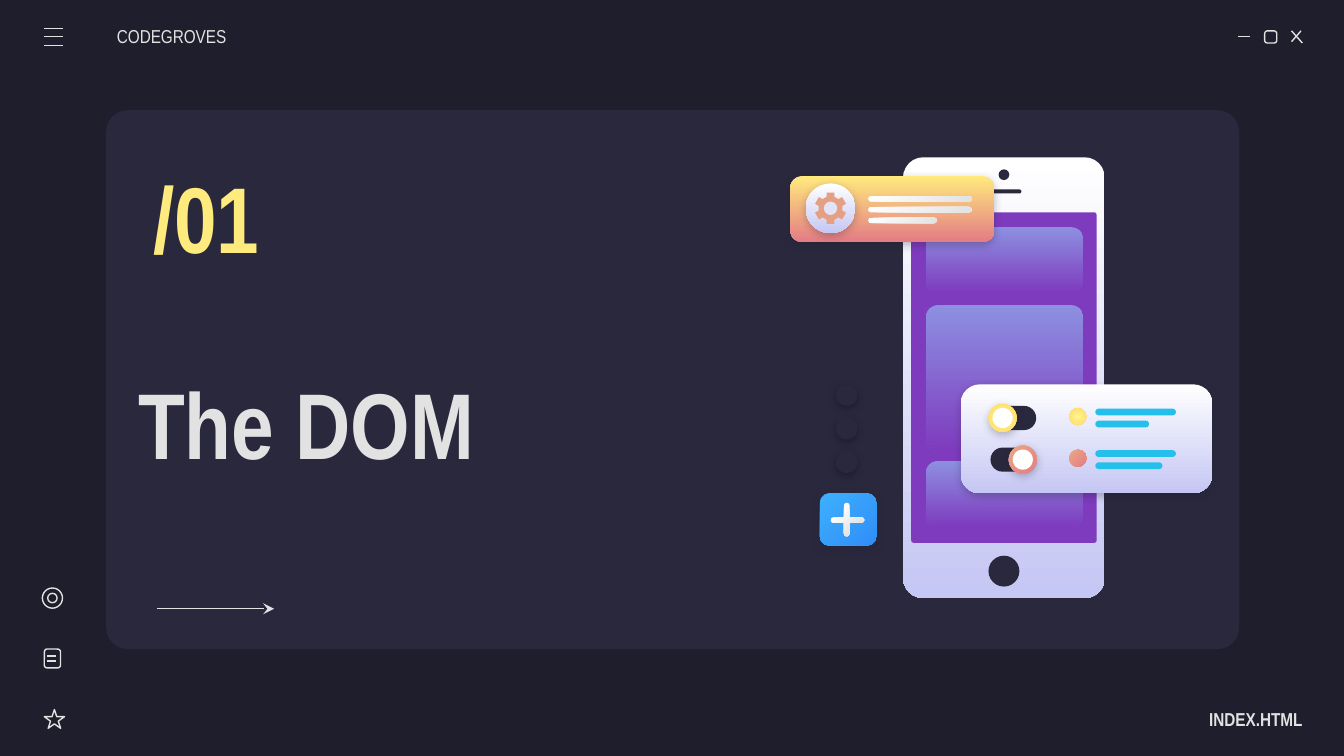
"""Builds the section slide "The DOM" with its phone illustration."""
from dataclasses import dataclass
from math import cos, radians, sin
from typing import NamedTuple, Optional, Union

from lxml.etree import SubElement
from pptx import Presentation
from pptx.dml.color import RGBColor
from pptx.enum.shapes import MSO_CONNECTOR, MSO_SHAPE
from pptx.enum.text import MSO_ANCHOR, PP_ALIGN
from pptx.oxml.ns import qn
from pptx.slide import Slide
from pptx.util import Inches, Pt


class Gradient(NamedTuple):
    start: str
    end: str
    angle: int = 90
    radial: bool = False


Paint = Union[str, Gradient, None]


@dataclass(frozen=True)
class Theme:
    font: str = "Arial Narrow"
    small: int = 10
    large: int = 50
    stroke: float = 0.75
    background: str = "1E1E2C"
    panel: str = "29283D"
    light: str = "E2E2E2"
    yellow: str = "FFEA7D"
    purple: str = "7E3BBE"
    cyan: str = "24BFEB"
    white: str = "FFFFFF"
    black: str = "000000"
    gear: str = "E5A083"
    gear_hole: str = "E2E3F9"
    frost: Gradient = Gradient("FFFFFF", "C5C7F4")
    violet: Gradient = Gradient("8D90E1", "7E3BBE")
    sunset: Gradient = Gradient("FFEA7D", "E57C85")
    silver: Gradient = Gradient("FFFFFF", "E2E2E2", 45)
    sky: Gradient = Gradient("3DB0FD", "308EF7", 45)
    gold: Gradient = Gradient("FFF68E", "FFD966", radial=True)
    coral: Gradient = Gradient("E9A984", "E57C85", 45)


THEME = Theme()


@dataclass(frozen=True)
class Block:
    left: float
    top: float
    width: float
    height: float
    fill: Paint = None
    radius: float = 0
    stroke: Optional[str] = None
    shadow: Optional[str] = None
    preset: MSO_SHAPE = MSO_SHAPE.ROUNDED_RECTANGLE


class Stroke(NamedTuple):
    x1: float
    y1: float
    x2: float
    y2: float
    arrow: bool = False


def paint(shape, fill: Paint, stroke: Optional[str] = None, shadow: Optional[str] = None) -> None:
    """Sets fill, outline and shadow of a shape."""
    if fill is None:
        shape.fill.background()
    elif isinstance(fill, str):
        shape.fill.solid()
        shape.fill.fore_color.rgb = RGBColor.from_string(fill)
    else:
        shape.fill.gradient()
        for stop, colour, position in zip(shape.fill.gradient_stops, (fill.start, fill.end), (0, 1)):
            stop.color.rgb = RGBColor.from_string(colour)
            stop.position = position
        shape.fill.gradient_angle = 360 - fill.angle
        if fill.radial:
            linear = shape._element.spPr.find(".//" + qn("a:lin"))
            gradient = linear.getparent()
            gradient.remove(linear)
            circle = SubElement(gradient, qn("a:path"), {"path": "circle"})
            SubElement(circle, qn("a:fillToRect"), dict.fromkeys("ltrb", "50000"))
    if stroke:
        shape.line.color.rgb = RGBColor.from_string(stroke)
        shape.line.width = Pt(THEME.stroke)
    else:
        shape.line.fill.background()
    shape.shadow.inherit = False
    if shadow:
        effects = shape._element.spPr.find(qn("a:effectLst"))
        outer = SubElement(effects, qn("a:outerShdw"), blurRad=str(Pt(4.5)), dist=str(Pt(1.5)),
                           dir="5400000", algn="ctr", rotWithShape="0")
        colour = SubElement(outer, qn("a:srgbClr"), val=shadow)
        SubElement(colour, qn("a:alpha"), val="27000")


def draw_block(slide: Slide, block: Block) -> None:
    """Draws one preset shape."""
    box = map(Inches, (block.left, block.top, block.width, block.height))
    shape = slide.shapes.add_shape(block.preset, *box)
    if block.preset == MSO_SHAPE.ROUNDED_RECTANGLE:
        shape.adjustments[0] = block.radius / min(block.width, block.height)
    paint(shape, block.fill, block.stroke, block.shadow)


def disc(x: float, y: float, size: float, fill: Paint = None, **style) -> Block:
    """Returns a circle centred on a point."""
    return Block(x - size / 2, y - size / 2, size, size, fill, preset=MSO_SHAPE.OVAL, **style)


def pill(left: float, top: float, width: float, height: float, fill: Paint) -> Block:
    """Returns a bar with fully rounded ends."""
    return Block(left, top, width, height, fill, min(width, height) / 2)


def draw_stroke(slide: Slide, stroke: Stroke) -> None:
    """Draws one straight line."""
    ends = map(Inches, (stroke.x1, stroke.y1, stroke.x2, stroke.y2))
    connector = slide.shapes.add_connector(MSO_CONNECTOR.STRAIGHT, *ends)
    connector.line.color.rgb = RGBColor.from_string(THEME.light)
    connector.line.width = Pt(THEME.stroke)
    properties = connector._element.spPr
    if stroke.arrow:
        SubElement(properties.find(qn("a:ln")), qn("a:tailEnd"), type="stealth")
    SubElement(properties, qn("a:effectLst"))


def draw_gear(slide: Slide, x: float, y: float) -> None:
    """Draws a six-toothed gear centred on a point."""
    tooth = ((0.09, -19), (0.12, -14), (0.12, 14), (0.09, 19))
    points = [
        (Inches(x + reach * cos(radians(turn + offset))), Inches(y + reach * sin(radians(turn + offset))))
        for turn in range(30, 390, 60) for reach, offset in tooth
    ]
    builder = slide.shapes.build_freeform(*points[0])
    builder.add_line_segments(points[1:], close=True)
    paint(builder.convert_to_shape(), THEME.gear)
    draw_block(slide, disc(x, y, 0.1, THEME.gear_hole))


def add_text(slide: Slide, text: str, left: float, top: float, width: float, height: float, *,
             size: int = THEME.small, colour: str = THEME.light, bold: bool = False,
             align: PP_ALIGN = PP_ALIGN.LEFT, inset_left: float = 0.1, inset_right: float = 0.1) -> None:
    """Adds one line of text, centred vertically in its box."""
    frame = slide.shapes.add_textbox(*map(Inches, (left, top, width, height))).text_frame
    frame.word_wrap = True
    frame.vertical_anchor = MSO_ANCHOR.MIDDLE
    frame.margin_left, frame.margin_right = Inches(inset_left), Inches(inset_right)
    frame.margin_top = frame.margin_bottom = Inches(0.1)
    paragraph = frame.paragraphs[0]
    paragraph.alignment = align
    run = paragraph.add_run()
    run.text = text
    run.font.name, run.font.size, run.font.bold = THEME.font, Pt(size), bold
    run.font.color.rgb = RGBColor.from_string(colour)


def draw_window(slide: Slide) -> None:
    """Draws the panel, the window controls and the side icons."""
    outline = {"stroke": THEME.light}
    for block in (
        Block(0.79, 0.82, 8.43, 4.01, THEME.panel, 0.16),
        Block(9.41, 0.23, 0.09, 0.09, radius=0.02, **outline),
        Block(0.33, 5.28, 0.15, 0.14, preset=MSO_SHAPE.STAR_5_POINT, **outline),
        Block(0.33, 4.83, 0.12, 0.14, radius=0.02, **outline),
        disc(0.39, 4.45, 0.15, **outline),
        disc(0.39, 4.45, 0.07, **outline),
    ):
        draw_block(slide, block)
    menu = [Stroke(0.33, y, 0.47, y) for y in (0.21, 0.27, 0.34)]
    page_lines = [Stroke(0.35, y, 0.42, y) for y in (4.88, 4.92)]
    controls = [Stroke(9.21, 0.27, 9.3, 0.27), Stroke(9.61, 0.23, 9.69, 0.32), Stroke(9.68, 0.23, 9.61, 0.31)]
    for stroke in (*menu, *page_lines, *controls, Stroke(1.17, 4.53, 2.04, 4.53, arrow=True)):
        draw_stroke(slide, stroke)


def draw_phone(slide: Slide) -> None:
    """Draws the phone with its floating cards and buttons."""
    lifted = {"shadow": THEME.background}
    screen_cards = [Block(6.89, top, 1.17, height, THEME.violet, 0.09)
                    for top, height in ((1.69, 0.49), (2.27, 1.09), (3.43, 0.49))]
    notice_lines = [pill(6.46, 1.46 + 0.08 * row, width, 0.04, THEME.silver)
                    for row, width in enumerate((0.77, 0.77, 0.51))]
    for block in (
        Block(6.72, 1.17, 1.5, 3.28, THEME.frost, 0.15),
        disc(7.47, 1.3, 0.08, THEME.panel),
        pill(7.35, 1.41, 0.25, 0.03, THEME.panel),
        disc(7.47, 4.25, 0.23, THEME.panel),
        Block(6.78, 1.58, 1.38, 2.46, THEME.purple, 0.02),
        *screen_cards,
        Block(5.88, 1.31, 1.52, 0.49, THEME.sunset, 0.09, **lifted),
        disc(6.18, 1.55, 0.37, THEME.frost, **lifted),
        *notice_lines,
        Block(7.15, 2.86, 1.87, 0.81, THEME.frost, 0.14, **lifted),
        Block(6.1, 3.67, 0.42, 0.39, THEME.sky, 0.07, **lifted),
        pill(6.18, 3.85, 0.25, 0.04, THEME.silver),
        pill(6.28, 3.74, 0.04, 0.25, THEME.silver),
        *(disc(6.3, 2.94 + 0.25 * row, 0.16, THEME.panel, shadow=THEME.black) for row in range(3)),
    ):
        draw_block(slide, block)
    draw_gear(slide, 6.18, 1.55)
    for row, (knob_x, accent, second_line) in enumerate(((7.46, THEME.gold, 0.4), (7.61, THEME.coral, 0.5))):
        top = 3.02 + 0.31 * row
        for block in (
            pill(7.37, top, 0.34, 0.18, THEME.panel),
            disc(knob_x, top + 0.09, 0.21, accent, **lifted),
            disc(knob_x, top + 0.09, 0.15, THEME.white),
            disc(8.02, top + 0.08, 0.13, accent),
            pill(8.15, top + 0.02, 0.6, 0.05, THEME.cyan),
            pill(8.15, top + 0.11, second_line, 0.05, THEME.cyan),
        ):
            draw_block(slide, block)


def main() -> None:
    """Builds and saves the slide."""
    deck = Presentation()
    deck.slide_width, deck.slide_height = Inches(10), Inches(10 * 9 / 16)
    slide = deck.slides.add_slide(deck.slide_layouts[6])
    slide.background.fill.solid()
    slide.background.fill.fore_color.rgb = RGBColor.from_string(THEME.background)
    draw_window(slide)
    add_text(slide, "CODEGROVES", 0.87, 0.12, 1.17, 0.3, inset_left=0)
    add_text(slide, "INDEX.HTML", 8.52, 5.2, 1.17, 0.3, bold=True, align=PP_ALIGN.RIGHT, inset_right=0)
    add_text(slide, "The DOM", 0.93, 2.32, 5.72, 1.64, size=THEME.large, bold=True)
    add_text(slide, "/01", 1.04, 1.15, 1.78, 0.92, size=THEME.large, colour=THEME.yellow, bold=True)
    draw_phone(slide)
    deck.save("out.pptx")


if __name__ == "__main__":
    main()
